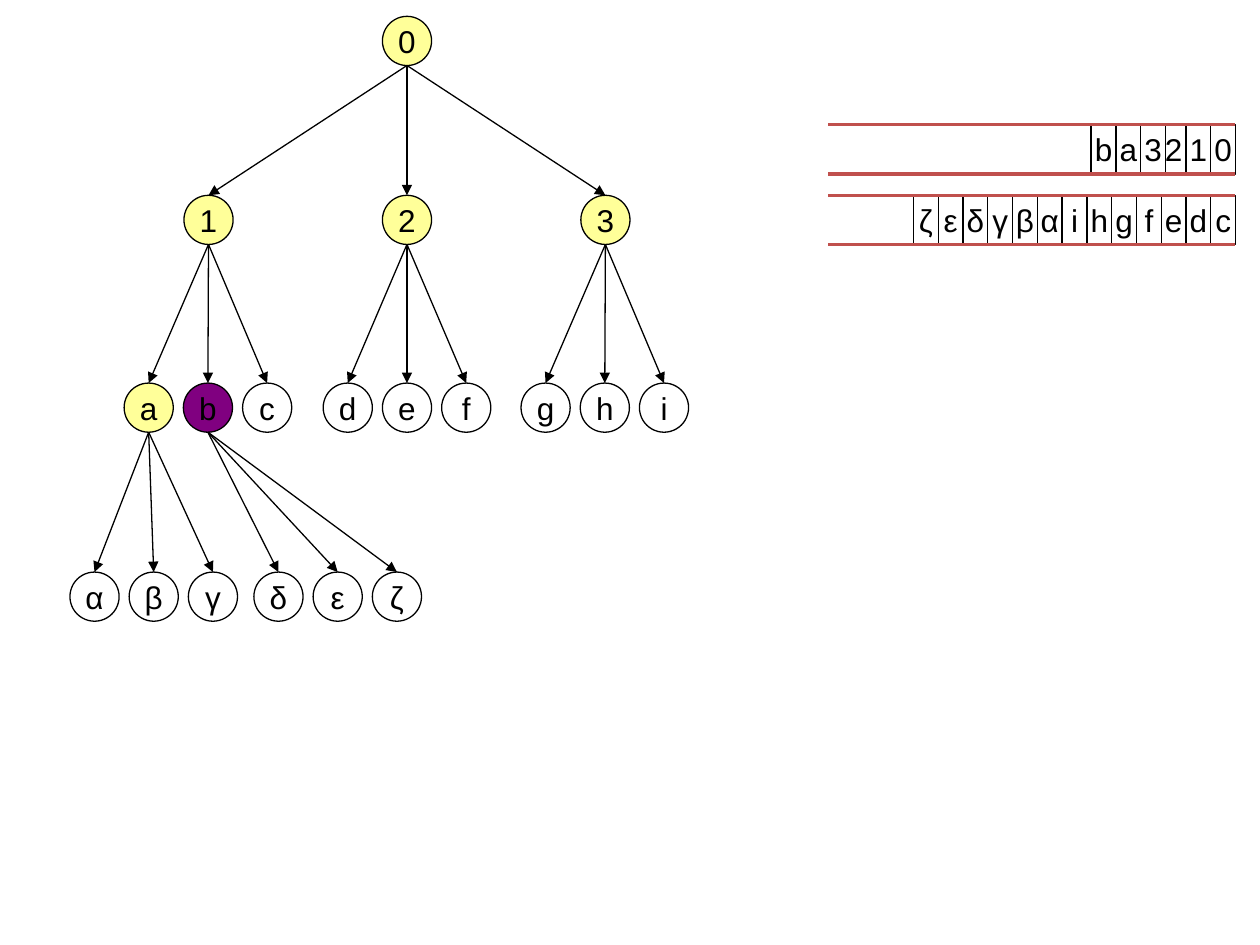
from dataclasses import dataclass

from lxml import etree
from pptx import Presentation
from pptx import util as u
from pptx.dml.color import RGBColor
from pptx.enum import shapes, text
from pptx.oxml.ns import qn

HUES = {"ink": "000000", "seen": "FFFF99", "now": "800080",
        "plain": "FFFFFF", "rail": "C0504D"}
SIZE = 0.39                     # node diameter and queue height
CELL = 2.36 / 12                # queue cell pitch
TOPS = [0.13, 1.55, 3.04, 4.54]  # tree levels
MARKS = {"0": "seen", "1": "seen", "2": "seen", "3": "seen",
         "a": "seen", "b": "now"}


@dataclass
class Brood:
    """Children of one node: level, centre of the middle child, gap."""
    root: str
    kids: str
    level: int
    mid: float
    gap: float = 0.47


@dataclass
class Run:
    """Neighbouring queue cells, listed from left to right."""
    names: str
    left: float
    top: float
    fill: str | None = "plain"


BROODS = [
    Brood("0", "123", 1, 3.23, 1.575),
    Brood("1", "abc", 2, 1.65),
    Brood("2", "def", 2, 3.23),
    Brood("3", "ghi", 2, 4.8),
    Brood("a", "αβγ", 3, 1.22),
    Brood("b", "δεζ", 3, 2.68),
]
RUNS = [
    Run("210", 9.61 - 2 * CELL, 0.99, None),
    Run("ba3", 8.66, 0.99),
    Run("ζεδγβαihgfedc", 7.25, 1.55),
]


def tint(name: str) -> RGBColor:
    return RGBColor.from_string(HUES[name])


def add_box(slide, kind, name: str, x: float, y: float,
            wide: float, fill: str | None) -> None:
    box = slide.shapes.add_shape(kind, u.Inches(x), u.Inches(y),
                                 u.Inches(wide), u.Inches(SIZE))
    box.shadow.inherit = False
    if fill:
        box.fill.solid()
        box.fill.fore_color.rgb = tint(fill)
    else:
        box.fill.background()
    box.line.color.rgb = tint("ink")
    box.line.width = u.Pt(0.75)
    frame = box.text_frame
    frame.word_wrap = False
    frame.vertical_anchor = text.MSO_ANCHOR.MIDDLE
    para = frame.paragraphs[0]
    para.alignment = text.PP_ALIGN.CENTER
    run = para.add_run()
    run.text = name
    run.font.name = "Arial"
    run.font.size = u.Pt(18)
    run.font.color.rgb = tint("ink")


def add_line(slide, start: tuple[float, float], end: tuple[float, float],
             hue: str, width: float, arrow: bool = False) -> None:
    line = slide.shapes.add_connector(
        shapes.MSO_CONNECTOR.STRAIGHT,
        *(u.Inches(v) for v in (*start, *end)))
    line.line.color.rgb = tint(hue)
    line.line.width = u.Pt(width)
    if arrow:
        etree.SubElement(line.line._get_or_add_ln(), qn("a:tailEnd"),
                         type="triangle")
    etree.SubElement(line._element.spPr, qn("a:effectLst"))


def add_node(slide, name: str, mid: float, level: int) -> None:
    add_box(slide, shapes.MSO_SHAPE.OVAL, name, mid - SIZE / 2,
            TOPS[level], SIZE, MARKS.get(name))


def add_tree(slide) -> None:
    spots = {"0": 3.23}
    add_node(slide, "0", spots["0"], 0)
    for brood in BROODS:
        start = (spots[brood.root], TOPS[brood.level - 1] + SIZE)
        for i, kid in enumerate(brood.kids):
            spots[kid] = brood.mid + (i - 1) * brood.gap
            add_node(slide, kid, spots[kid], brood.level)
            add_line(slide, start, (spots[kid], TOPS[brood.level]),
                     "ink", 0.75, arrow=True)


def add_queues(slide) -> None:
    for run in RUNS:
        for i, name in enumerate(run.names):
            add_box(slide, shapes.MSO_SHAPE.RECTANGLE, name,
                    run.left + i * CELL, run.top, CELL, run.fill)
    # Rails above and below each queue
    for top in (0.99, 1.55):
        for y in (top, top + SIZE):
            add_line(slide, (9.8, y), (6.57, y), "rail", 2)


def main() -> None:
    deck = Presentation()
    deck.slide_width, deck.slide_height = u.Inches(10), u.Inches(7.5)
    slide = deck.slides.add_slide(deck.slide_layouts[6])
    add_queues(slide)
    add_tree(slide)
    deck.save("out.pptx")


if __name__ == "__main__":
    main()
